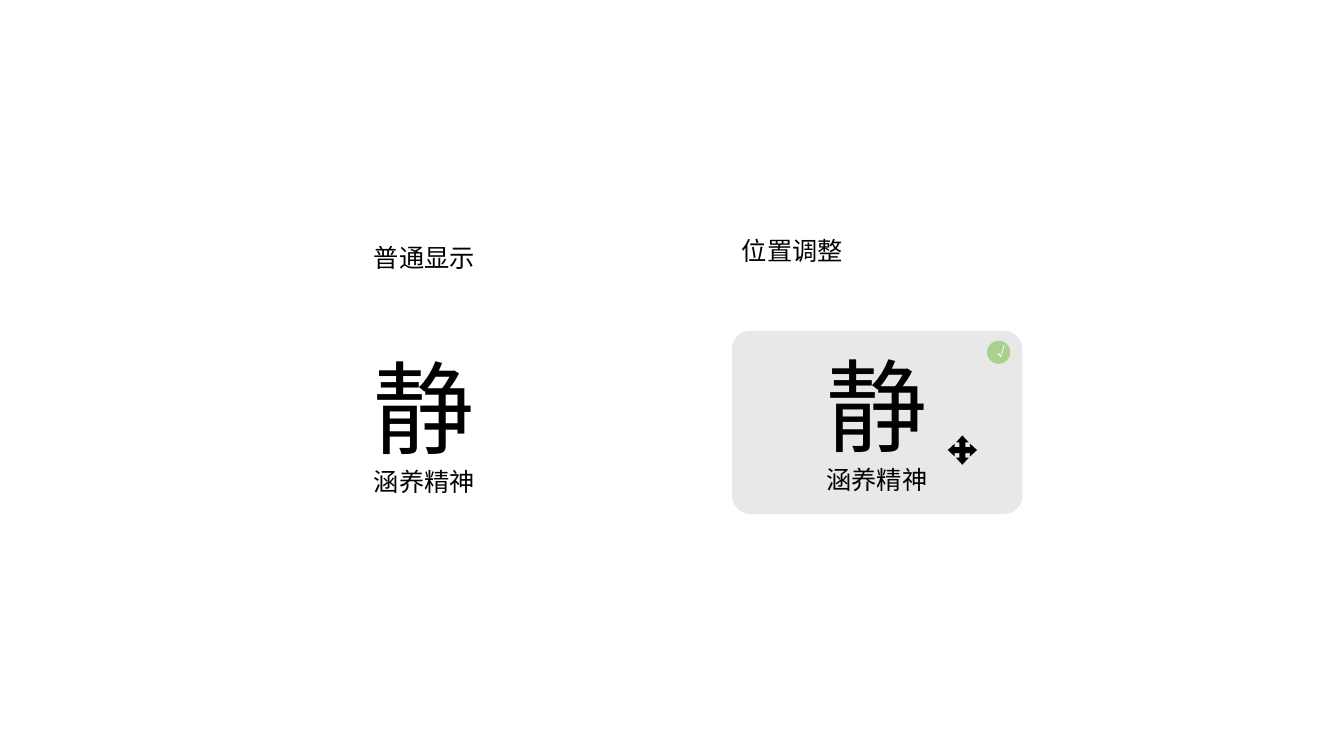
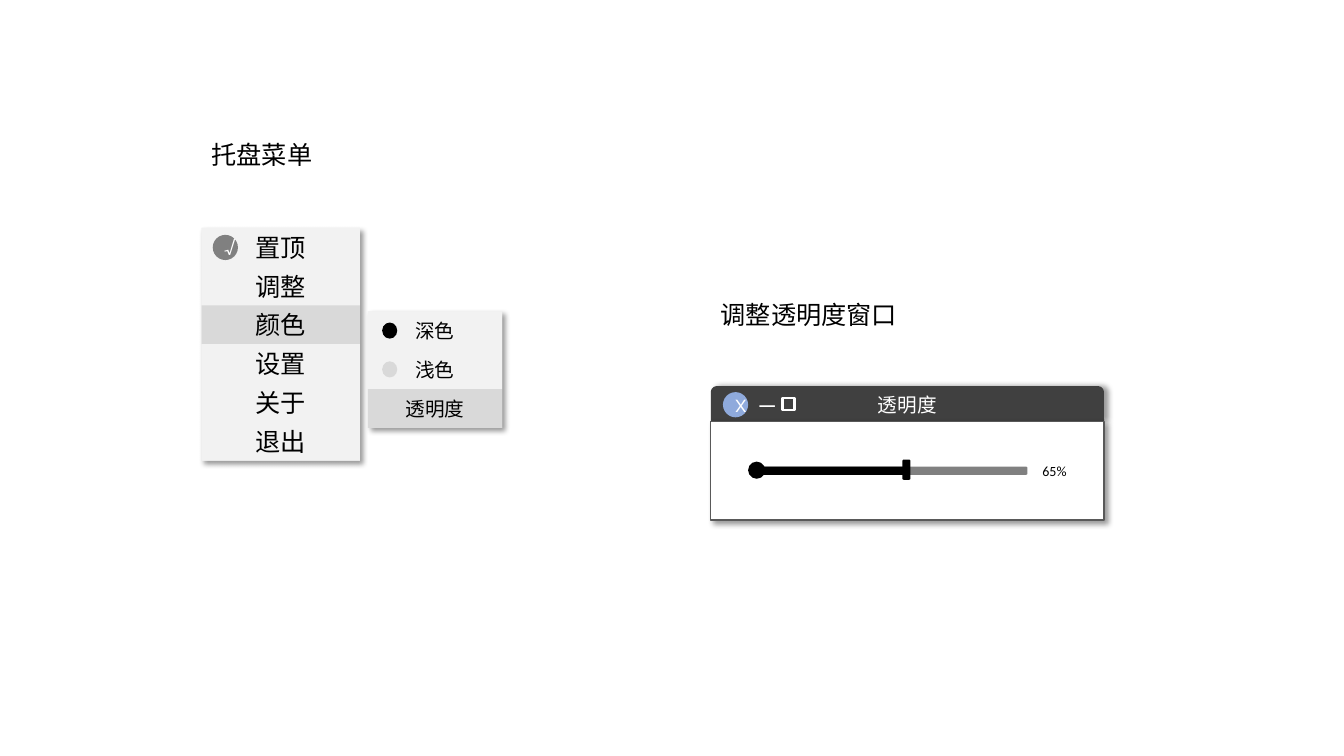
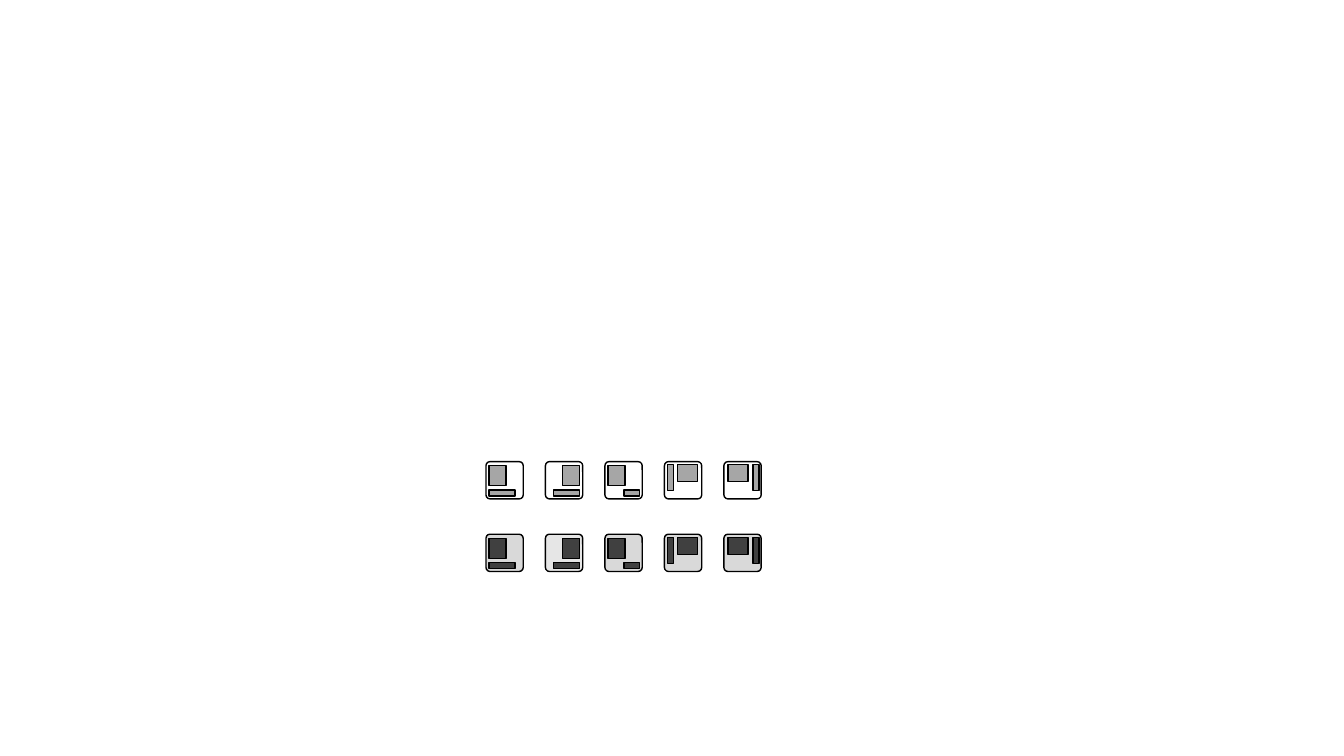
from lxml import etree
from pptx import Presentation
from pptx.dml.color import RGBColor
from pptx.enum import shapes, text
from pptx.oxml import ns
from pptx.util import Inches, Pt

COLORS = {
    "ink": "000000", "paper": "FFFFFF", "panel": "F2F2F2", "selected": "D9D9D9",
    "bar": "404040", "frame": "595959", "muted": "808080", "photo": "A6A6A6",
    "confirm": "A9D18E", "close": "8FAADC",
}
BODY, SYMBOL = "Calibri", "Karla"
KIND = shapes.MSO_SHAPE
ROW = 0.385
TILE = 0.37
ICON_LAYOUTS = [
    ((0.03, 0.04, 0.17, 0.2), (0.03, 0.28, 0.26, 0.06)),
    ((0.17, 0.04, 0.17, 0.2), (0.08, 0.28, 0.26, 0.06)),
    ((0.03, 0.04, 0.17, 0.2), (0.19, 0.28, 0.15, 0.06)),
    ((0.13, 0.03, 0.2, 0.17), (0.03, 0.03, 0.06, 0.26)),
    ((0.04, 0.03, 0.2, 0.17), (0.29, 0.03, 0.06, 0.26)),
]


def rgb(name):
    return RGBColor.from_string(COLORS[name])


def style(p, size, color, font):
    p.font.size, p.font.name = Pt(size), font
    p.font.color.rgb = rgb(color)


def add_alpha(color_element, percent):
    etree.SubElement(color_element, ns.qn("a:alpha"), val=str(percent * 1000))


def cast_shadow(sp, angle):
    effects = sp._element.spPr.find(ns.qn("a:effectLst"))
    outer = etree.SubElement(
        effects, ns.qn("a:outerShdw"), blurRad=str(Pt(4)), dist=str(Pt(3)),
        dir=str(angle * 60000), algn="tl", rotWithShape="0")
    add_alpha(etree.SubElement(outer, ns.qn("a:srgbClr"), val=COLORS["ink"]), 40)


def add_box(s, kind, at, fill=None, line=None, weight=1, adj=(), alpha=None, shadow=None):
    sp = s.shapes.add_shape(kind, *map(Inches, at))
    sp.shadow.inherit = False
    for i, value in enumerate(adj):
        sp.adjustments[i] = value
    if fill:
        sp.fill.solid()
        sp.fill.fore_color.rgb = rgb(fill)
    else:
        sp.fill.background()
    if alpha is not None:
        add_alpha(sp._element.spPr.find(".//" + ns.qn("a:srgbClr")), alpha)
    if line:
        sp.line.color.rgb, sp.line.width = rgb(line), Pt(weight)
    else:
        sp.line.fill.background()
    if shadow is not None:
        cast_shadow(sp, shadow)
    return sp


def label(sp, words, size, color="ink", font=BODY):
    tf = sp.text_frame
    tf.vertical_anchor = text.MSO_ANCHOR.MIDDLE
    p = tf.paragraphs[0]
    p.text, p.alignment = words, text.PP_ALIGN.CENTER
    style(p, size, color, font)


def add_text(s, at, *lines, color="ink", font=BODY):
    tf = s.shapes.add_textbox(*map(Inches, at)).text_frame
    tf.word_wrap = False
    tf.auto_size = text.MSO_AUTO_SIZE.SHAPE_TO_FIT_TEXT
    for i, (words, size) in enumerate(lines):
        p = tf.add_paragraph() if i else tf.paragraphs[0]
        p.text = words
        style(p, size, color, font)


def add_badge(s, left, top, size, symbol, fill, points):
    sp = add_box(s, KIND.OVAL, (left, top, size, size), fill)
    label(sp, symbol, points, "paper", SYMBOL)


def add_motto(s, left, top):
    add_text(s, (left, top, 1.2, 1.61), ("静", 72), ("涵养精神", 18))


def add_menu(s, left, top, width, items, selected, size):
    add_box(s, KIND.RECTANGLE, (left, top, width, ROW * len(items)), "panel", shadow=45)
    for i, item in enumerate(items):
        fill = "selected" if item == selected else "panel"
        row = add_box(s, KIND.RECTANGLE, (left, top + i * ROW, width, ROW), fill)
        label(row, item, size)


def add_slider(s, left, top, width, value_width):
    for length, fill in ((width, "muted"), (value_width, "ink")):
        add_box(s, KIND.ROUNDED_RECTANGLE, (left, top, length, 0.08), fill)
    add_box(s, KIND.OVAL, (left - 0.08, top - 0.05, 0.17, 0.17), "ink")
    add_box(s, KIND.ROUNDED_RECTANGLE,
            (left + value_width - 0.03, top - 0.07, 0.08, 0.2), "ink")
    add_text(s, (left + width + 0.05, top - 0.09, 0.51, 0.27), ("65%", 10))


def add_window(s, left, top, width):
    bar = 0.35
    title = add_box(s, KIND.ROUND_2_SAME_RECTANGLE, (left, top, width, bar), "bar", shadow=0)
    label(title, "透明度", 14, "paper")
    add_box(s, KIND.RECTANGLE, (left, top + bar, width, 0.98), "paper", "frame", shadow=45)
    add_badge(s, left + 0.12, top + 0.06, 0.25, "X", "close", 14)
    add_text(s, (left + 0.37, top - 0.09, 0.33, 0.4), ("_", 18), color="paper", font=SYMBOL)
    add_box(s, KIND.RECTANGLE, (left + 0.71, top + 0.12, 0.12, 0.12), line="paper", weight=1.75)
    add_slider(s, left + 0.45, top + 0.8, 2.69, 1.48)


def add_icon(s, left, top, parts, tile_fill, part_fill, alpha):
    add_box(s, KIND.ROUNDED_RECTANGLE, (left, top, TILE, TILE), tile_fill, "ink",
            adj=(0.11,), alpha=alpha)
    for dx, dy, width, height in parts:
        add_box(s, KIND.RECTANGLE, (left + dx, top + dy, width, height), part_fill, "ink")


def build_display(s):
    add_box(s, KIND.ROUNDED_RECTANGLE, (7.26, 3.28, 2.88, 1.82), "ink", adj=(0.1,), alpha=9)
    add_motto(s, 3.61, 3.38)
    add_motto(s, 8.1, 3.36)
    add_badge(s, 9.79, 3.38, 0.23, "√", "confirm", 10)
    add_box(s, KIND.QUAD_ARROW, (9.4, 4.32, 0.29, 0.29), "ink", adj=(0.2, 0.22, 0.24))
    add_text(s, (3.61, 2.36, 1.2, 0.4), ("普通显示", 18))
    add_text(s, (7.26, 2.29, 1.2, 0.4), ("位置调整", 18))


def build_menus(s):
    add_menu(s, 2, 2.26, 1.57, ["置顶", "调整", "颜色", "设置", "关于", "退出"], "颜色", 18)
    add_badge(s, 2.11, 2.33, 0.25, "√", "muted", 14)
    add_menu(s, 3.65, 3.09, 1.33, ["深色", "浅色", "透明度"], "透明度", 14)
    for i, fill in enumerate(("ink", "selected")):
        add_box(s, KIND.OVAL, (3.79, 3.2 + i * ROW, 0.15, 0.16), fill)
    add_window(s, 7.05, 3.83, 3.9)
    add_text(s, (2, 1.33, 1.2, 0.4), ("托盘菜单", 18))
    add_text(s, (7.05, 2.92, 1.95, 0.4), ("调整透明度窗口", 18))


def build_icons(s):
    for top, tile_fill, part_fill in ((4.58, "paper", "photo"), (5.3, "selected", "bar")):
        for i, parts in enumerate(ICON_LAYOUTS):
            add_icon(s, 4.82 + i * 0.59, top, parts, tile_fill, part_fill,
                     65 if i == 1 else None)


def main():
    prs = Presentation()
    prs.slide_width, prs.slide_height = Inches(13.33), Inches(7.5)
    for build in (build_display, build_menus, build_icons):
        build(prs.slides.add_slide(prs.slide_layouts[6]))
    prs.save("out.pptx")


main()
